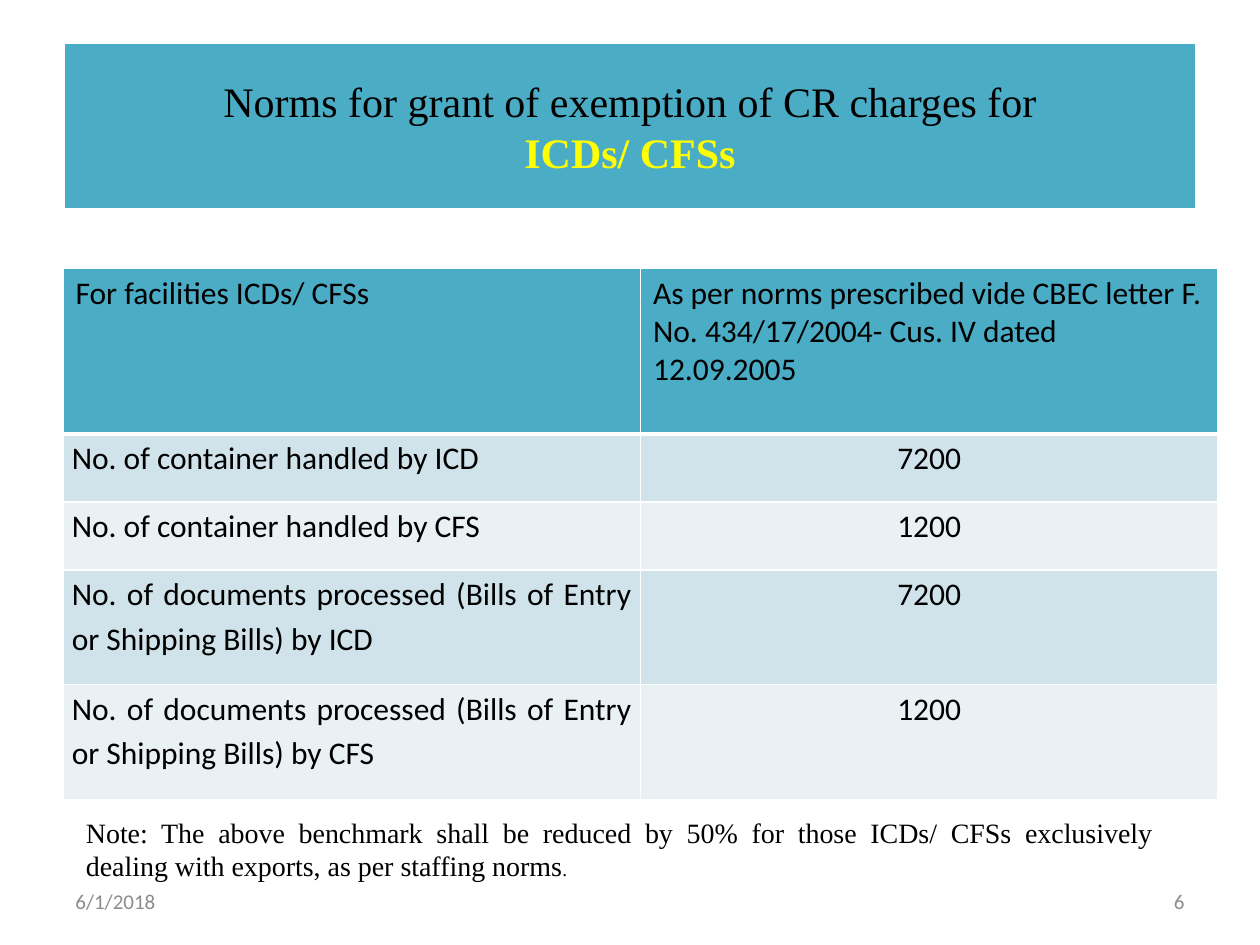
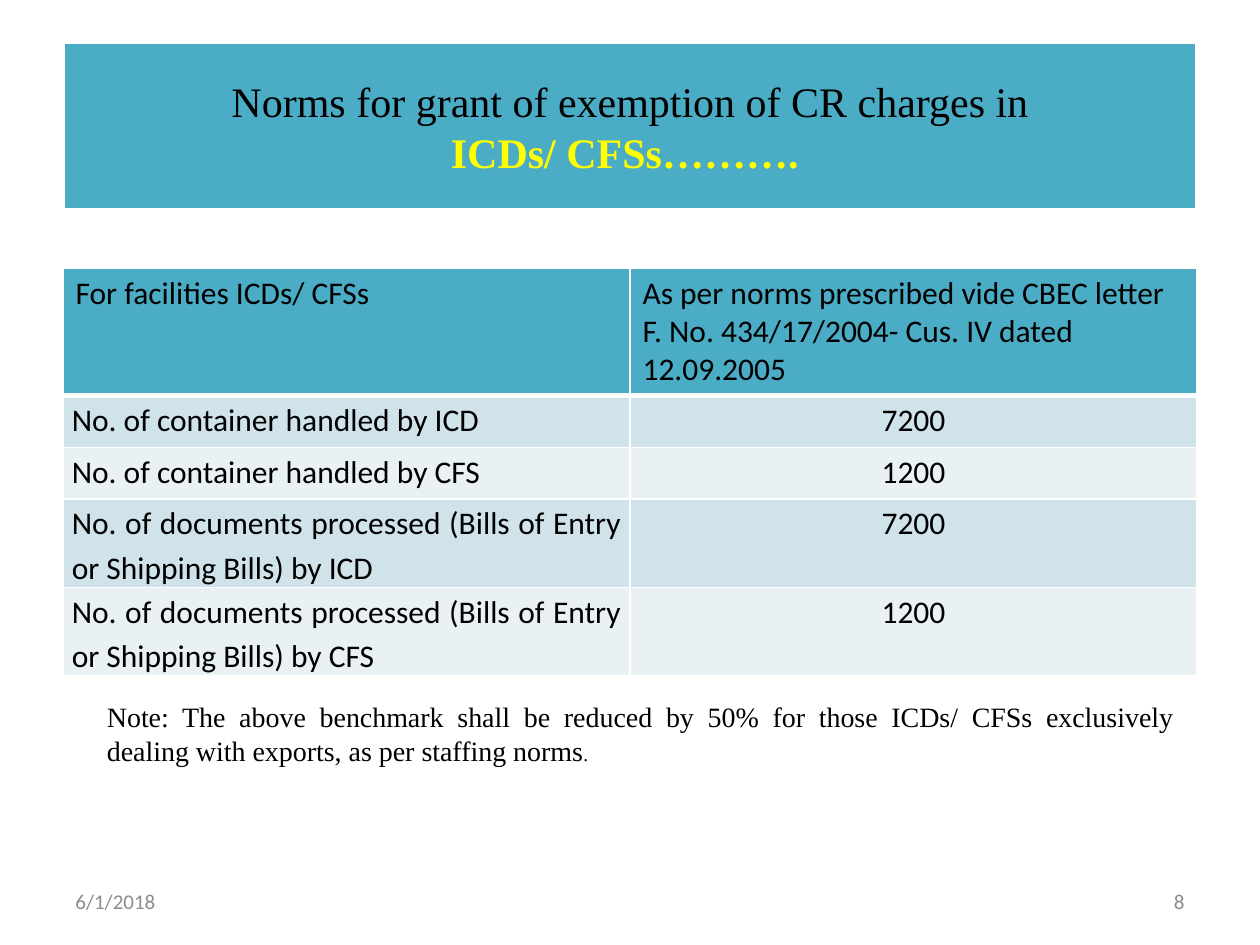
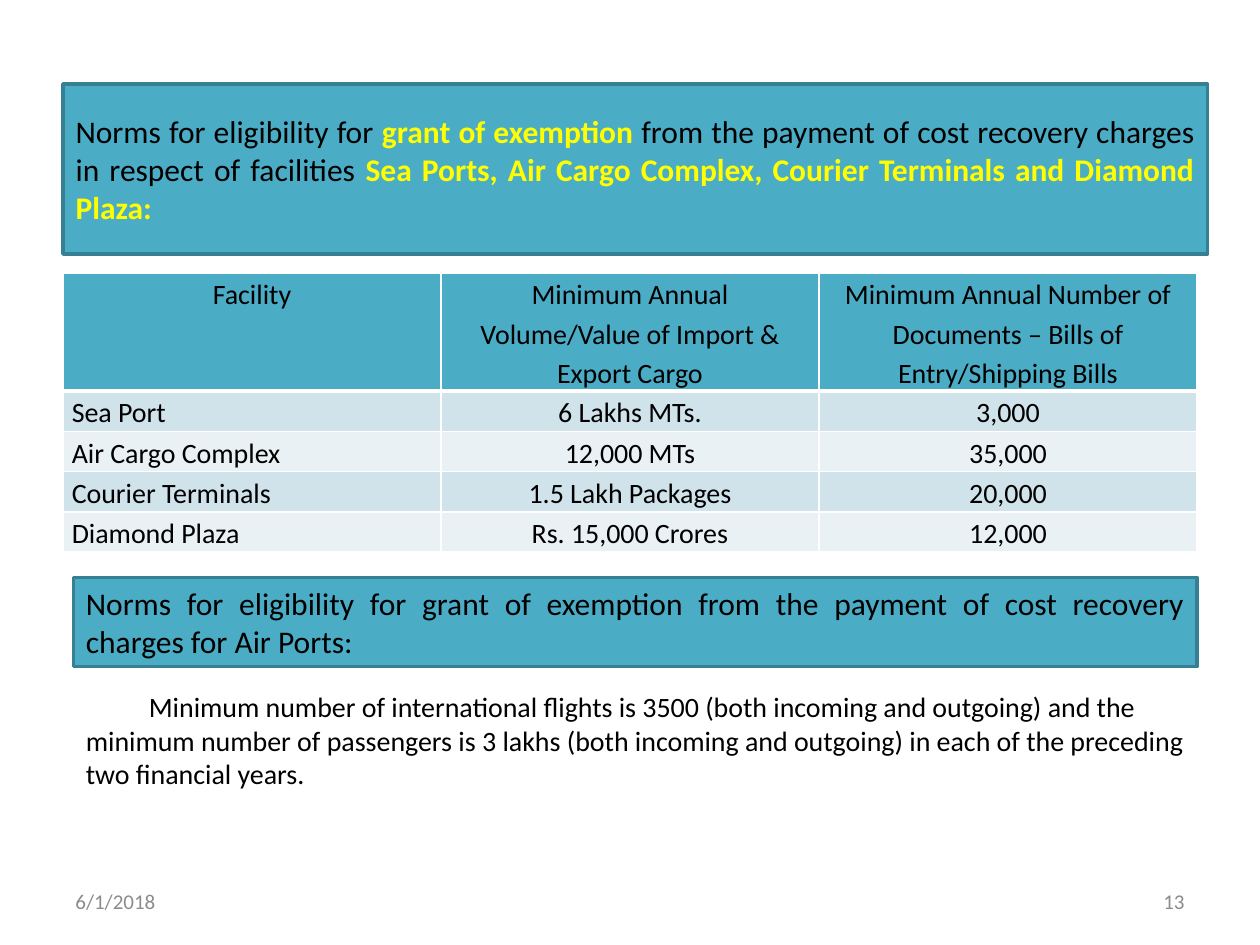
from dataclasses import dataclass

from lxml.etree import SubElement
from pptx import Presentation
from pptx.dml.color import RGBColor
from pptx.enum.shapes import MSO_SHAPE
from pptx.enum.text import MSO_ANCHOR, MSO_AUTO_SIZE, PP_ALIGN
from pptx.oxml.ns import qn
from pptx.util import Inches, Pt


@dataclass(frozen=True)
class Theme:
    teal: str = "4BACC6"
    teal_edge: str = "377F92"
    band_dark: str = "D0E3EA"
    band_light: str = "E9F1F5"
    white: str = "FFFFFF"
    black: str = "000000"
    yellow: str = "FFFF00"
    grey: str = "8C8C8C"
    sans: str = "Calibri"
    serif: str = "Times New Roman"
    title: int = 24
    heading: int = 18
    body: int = 16
    footer: int = 12
    full_stop: int = 11


THEME = Theme()
UNIT = Inches(1) // 12  # the slide is a grid of 120 columns by 90 rows
COLUMNS, ROWS = 120, 90
MARGIN = 6
TITLE_ONLY = 5
DATE = "6/1/2018"

NORMS = [
    ["For facilities ICDs/ CFSs",
     "As per norms prescribed vide CBEC letter F. No. 434/17/2004- Cus. IV dated 12.09.2005"],
    ["No. of container handled by ICD", "7200"],
    ["No. of container handled by CFS", "1200"],
    ["No. of documents processed (Bills of Entry or Shipping Bills) by ICD", "7200"],
    ["No. of documents processed (Bills of Entry or Shipping Bills) by CFS", "1200"],
]
FACILITIES = [
    ["Facility", "Minimum Annual Volume/Value of Import & Export Cargo",
     "Minimum Annual Number of Documents – Bills of Entry/Shipping Bills"],
    ["Sea Port", "6 Lakhs MTs.", "3,000"],
    ["Air Cargo Complex", "12,000 MTs", "35,000"],
    ["Courier Terminals", "1.5 Lakh Packages", "20,000"],
    ["Diamond Plaza", "Rs. 15,000 Crores", "12,000"],
]


def grid(*cells):
    return [round(cell * UNIT) for cell in cells]


def write(paragraph, text, size=THEME.body, color=THEME.black, font=THEME.sans,
          bold=False, align=None, spacing=None):
    """Append a formatted run to the paragraph."""
    run = paragraph.add_run()
    run.text = text
    run.font.size = Pt(size)
    run.font.name = font
    run.font.bold = bold
    run.font.color.rgb = RGBColor.from_string(color)
    if align is not None:
        paragraph.alignment = align
    if spacing is not None:
        paragraph.line_spacing = spacing


def paint(banner, edge):
    banner.fill.solid()
    banner.fill.fore_color.rgb = RGBColor.from_string(THEME.teal)
    banner.line.color.rgb = RGBColor.from_string(edge)
    banner.line.width = Pt(2)


def prepare(frame, anchor=MSO_ANCHOR.MIDDLE):
    """Make the frame wrap at a fixed size and return its first paragraph."""
    frame.word_wrap = True
    frame.auto_size = MSO_AUTO_SIZE.NONE
    frame.vertical_anchor = anchor
    return frame.paragraphs[0]


def add_text_area(slide, area):
    return prepare(slide.shapes.add_textbox(*grid(*area)).text_frame)


def add_title(slide, area, edge):
    title = slide.shapes.title
    title.left, title.top, title.width, title.height = grid(*area)
    paint(title, edge)
    return prepare(title.text_frame)


def add_footer(slide, number):
    for left, text, align in ((MARGIN, DATE, PP_ALIGN.LEFT),
                              (86, str(number), PP_ALIGN.RIGHT)):
        write(add_text_area(slide, (left, 83.4, 28, 4.8)), text,
              size=THEME.footer, color=THEME.grey, align=align)


def set_borders(cell, is_header):
    """Rule all four sides in white, heavier below the header."""
    properties = cell._tc.get_or_add_tcPr()
    for side in "LRTB":
        width = 3 if is_header and side == "B" else 1
        line = SubElement(properties, qn(f"a:ln{side}"), w=str(Pt(width)))
        fill = SubElement(line, qn("a:solidFill"))
        SubElement(fill, qn("a:srgbClr"), val=THEME.white)


def add_norms_table(slide, content, top, width, row_heights, size, header_is_prose):
    columns = len(content[0])
    table = slide.shapes.add_table(
        len(content), columns,
        *grid(MARGIN, top, width, sum(row_heights) * 12)).table
    table.first_row = table.horz_banding = False
    for column in table.columns:
        column.width = grid(width / columns)[0]
    for r, (row, height) in enumerate(zip(content, row_heights)):
        table.rows[r].height = Inches(height)
        prose = r == 0 and header_is_prose
        band = THEME.teal if r == 0 else (THEME.band_light, THEME.band_dark)[r % 2]
        for c, text in enumerate(row):
            cell = table.cell(r, c)
            set_borders(cell, r == 0)
            cell.fill.solid()
            cell.fill.fore_color.rgb = RGBColor.from_string(band)
            cell.margin_left = cell.margin_right = Inches(0.1 if prose else 0.07)
            cell.margin_top = cell.margin_bottom = Inches(0.05 if prose else 0)
            if prose:
                align = PP_ALIGN.LEFT
            else:
                align = PP_ALIGN.JUSTIFY if r and c == 0 else PP_ALIGN.CENTER
            write(cell.text_frame.paragraphs[0], text, size=size, align=align,
                  spacing=None if prose else 1.15)


def add_container_norms(deck, number, lead, facilities, table_width, row_heights, note_at):
    """Add a slide of norms for container facilities with its note."""
    slide = deck.slides.add_slide(deck.slide_layouts[TITLE_ONLY])
    title = add_title(slide, (MARGIN, 4, 108, 16), THEME.white)
    write(title, lead, size=THEME.title, font=THEME.serif, align=PP_ALIGN.CENTER)
    title.add_line_break()
    write(title, facilities, size=THEME.title, font=THEME.serif,
          color=THEME.yellow, bold=True)
    add_norms_table(slide, NORMS, 25.5, table_width, row_heights,
                    THEME.heading, header_is_prose=True)
    add_footer(slide, number)
    note = add_text_area(slide, (*note_at, 104, 7.7))
    write(note, "Note: The above benchmark shall be reduced by 50% for those ICDs/ CFSs "
          "exclusively dealing with exports, as per staffing norms",
          font=THEME.serif, align=PP_ALIGN.JUSTIFY)
    write(note, ".", size=THEME.full_stop, font=THEME.serif)


def add_port_norms(deck, number):
    slide = deck.slides.add_slide(deck.slide_layouts[TITLE_ONLY])
    title = add_title(slide, (MARGIN, 8, 109, 16.2), THEME.teal_edge)
    for text, stressed in (
            ("Norms for eligibility for ", False),
            ("grant of exemption ", True),
            ("from the payment of cost recovery charges in respect of facilities ", False),
            ("Sea Ports, Air Cargo Complex, Courier Terminals and Diamond Plaza:", True)):
        write(title, text, size=THEME.heading, bold=stressed, align=PP_ALIGN.JUSTIFY,
              color=THEME.yellow if stressed else THEME.black)
    add_norms_table(slide, FACILITIES, 26, 108, [0.93] + [0.32] * 4,
                    THEME.body, header_is_prose=False)
    add_footer(slide, number)

    airports = slide.shapes.add_shape(MSO_SHAPE.RECTANGLE, *grid(7, 55, 107, 8.5))
    airports.shadow.inherit = False
    paint(airports, THEME.teal_edge)
    write(prepare(airports.text_frame, MSO_ANCHOR.TOP),
          "Norms for eligibility for grant of exemption from the payment of cost "
          "recovery charges for Air Ports:",
          size=THEME.heading, align=PP_ALIGN.JUSTIFY)

    minimum = add_text_area(slide, (7, 65, 107, 11))
    minimum._p.get_or_add_pPr().set("indent", str(Inches(0.5)))
    write(minimum, "Minimum number of international flights is 3500 (both incoming and "
          "outgoing) and the minimum number of passengers is 3 lakhs (both incoming "
          "and outgoing) in each of the preceding two financial years.",
          align=PP_ALIGN.LEFT)


def main():
    deck = Presentation()
    deck.slide_width, deck.slide_height = grid(COLUMNS, ROWS)
    add_container_norms(deck, 6, "Norms for grant of exemption of CR charges for",
                        "ICDs/ CFSs", 110, [1.32, 0.54, 0.54, 0.91, 0.91], (7, 77))
    add_container_norms(deck, 8, "Norms for grant of exemption of CR charges in",
                        "ICDs/ CFSs………. ", 108, [1, 0.41, 0.41, 0.7, 0.7], (9, 66))
    add_port_norms(deck, 13)
    deck.save("out.pptx")


if __name__ == "__main__":
    main()
